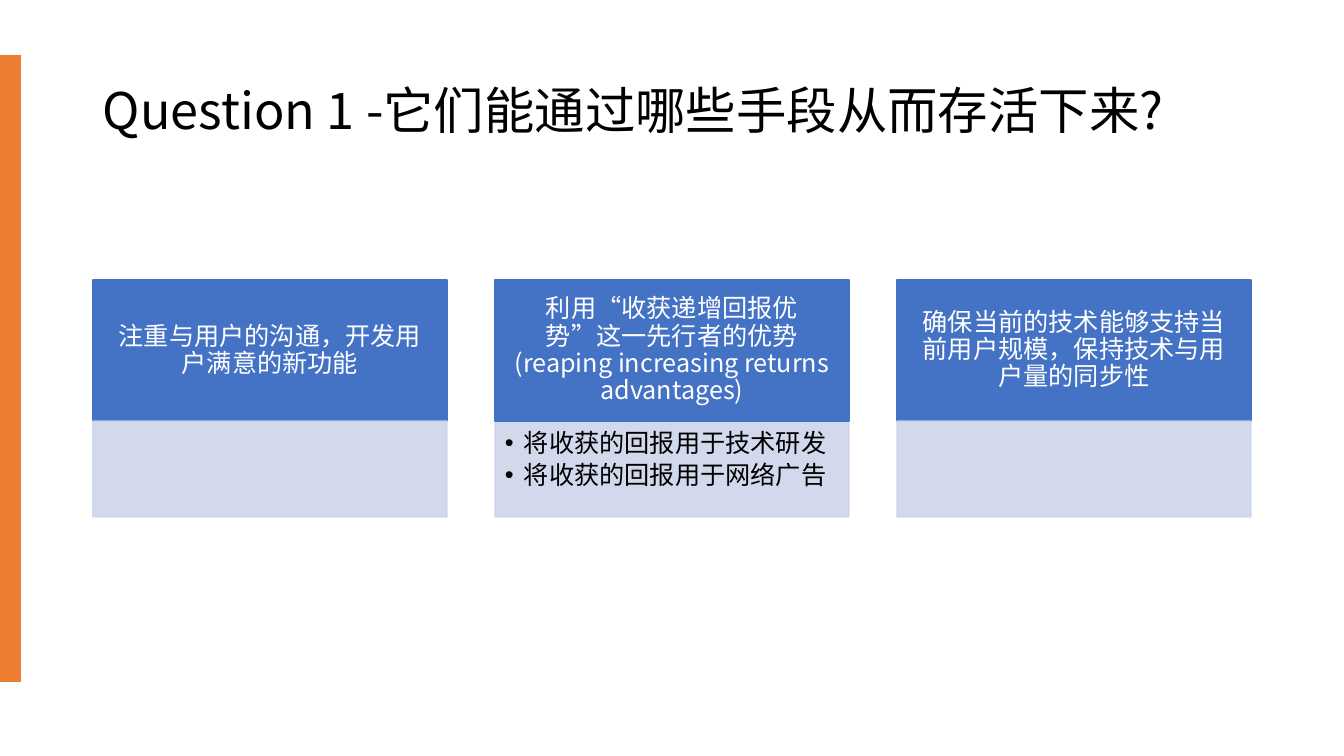
from dataclasses import dataclass

from lxml.etree import SubElement
from pptx import Presentation
from pptx.dml.color import RGBColor as Rgb
from pptx.enum.shapes import MSO_SHAPE as Shape
from pptx.enum.text import MSO_ANCHOR as Anchor, MSO_AUTO_SIZE as Fit, PP_ALIGN as Align
from pptx.oxml.ns import qn
from pptx.util import Emu, Inches, Pt


@dataclass(frozen=True)
class Theme:
    font: str = "Noto Sans CJK SC"
    black: str = "000000"
    white: str = "FFFFFF"
    bar: str = "ED7D31"
    head: str = "4472C4"
    foot: str = "CFD5EA"
    title: int = 36
    body: int = 18


THEME = Theme()
SCALE = Inches(1) / 100.8

# Grid of the three cards
LEFT, WIDTH, GAP = 93, 354, 48
TOP, HEAD, FOOT = 280, 141, 96

TITLE = "Question 1 -它们能通过哪些手段从而存活下来?"
CARDS = [
    ("注重与用户的沟通，开发用户满意的新功能", []),
    ("利用“收获递增回报优势”这一先行者的优势 (reaping increasing returns advantages)",
     ["将收获的回报用于技术研发", "将收获的回报用于网络广告"]),
    ("确保当前的技术能够支持当前用户规模，保持技术与用户量的同步性", []),
]


def px(count):
    return Emu(round(count * SCALE))


def place(item, left, top, width, height):
    item.left, item.top = px(left), px(top)
    item.width, item.height = px(width), px(height)


def paint(item, color, alpha=None):
    """Give a shape one colour for its fill and its line."""
    item.fill.solid()
    item.line.fill.solid()
    item.line.width = Pt(1)
    for fill in (item.fill, item.line.fill):
        fill.fore_color.rgb = Rgb.from_string(color)
    if alpha:
        for tint in item._element.spPr.iter(qn("a:srgbClr")):
            SubElement(tint, qn("a:alpha"), val=str(alpha * 1000))


def add_box(slide, box, color, alpha=None):
    item = slide.shapes.add_shape(Shape.RECTANGLE, *map(px, box))
    item.shadow.inherit = False
    paint(item, color, alpha)
    return item


def set_frame(item, anchor, insets):
    frame = item.text_frame
    frame.word_wrap = True
    frame.auto_size = Fit.NONE
    frame.vertical_anchor = anchor
    (frame.margin_left, frame.margin_top,
     frame.margin_right, frame.margin_bottom) = map(px, insets)
    return frame


def add_text(para, text, size, color, align=Align.LEFT):
    para.alignment = align
    para.line_spacing = 0.9
    para.space_before = Pt(0)
    run = para.add_run()
    run.text = text
    font = run.font
    font.size = Pt(size)
    font.color.rgb = Rgb.from_string(color)
    font.name = THEME.font
    SubElement(font._element, qn("a:ea"), typeface=THEME.font)


def add_list(item, lines):
    frame = set_frame(item, Anchor.TOP, (10, 10, 14, 16))
    for row, line in enumerate(lines):
        para = frame.add_paragraph() if row else frame.paragraphs[0]
        props = para._p.get_or_add_pPr()
        props.set("marL", str(px(19)))
        props.set("indent", str(-px(19)))
        SubElement(props, qn("a:buChar"), char="•")
        para.space_after = Pt(3)
        add_text(para, line, THEME.body, THEME.black)


def add_card(slide, col, text, lines):
    left = LEFT + col * (WIDTH + GAP)
    # Heading
    head = add_box(slide, (left, TOP, WIDTH, HEAD), THEME.head)
    frame = set_frame(head, Anchor.MIDDLE, (14, 8, 14, 8))
    add_text(frame.paragraphs[0], text, THEME.body, THEME.white, Align.CENTER)
    # Panel below, with the list where there is one
    box = (left, TOP + HEAD, WIDTH, FOOT)
    if lines:
        body = slide.placeholders[1]
        place(body, *box)
        paint(body, THEME.foot, 90)
        add_list(body, lines)
    else:
        add_box(slide, box, THEME.foot, 90)


def add_title(slide, text):
    title = slide.shapes.title
    place(title, LEFT, 40, 1159, 146)
    frame = set_frame(title, Anchor.MIDDLE, (10, 5, 10, 5))
    add_text(frame.paragraphs[0], text, THEME.title, THEME.black)


def main():
    deck = Presentation()
    deck.slide_width, deck.slide_height = px(1344), px(756)
    slide = deck.slides.add_slide(deck.slide_layouts[1])

    # Accent bar on the left edge
    bar = add_box(slide, (0, 55, 21, 627), THEME.bar)
    bar.line.fill.background()

    add_title(slide, TITLE)
    for col, (text, lines) in enumerate(CARDS):
        add_card(slide, col, text, lines)
    deck.save("out.pptx")


if __name__ == "__main__":
    main()
